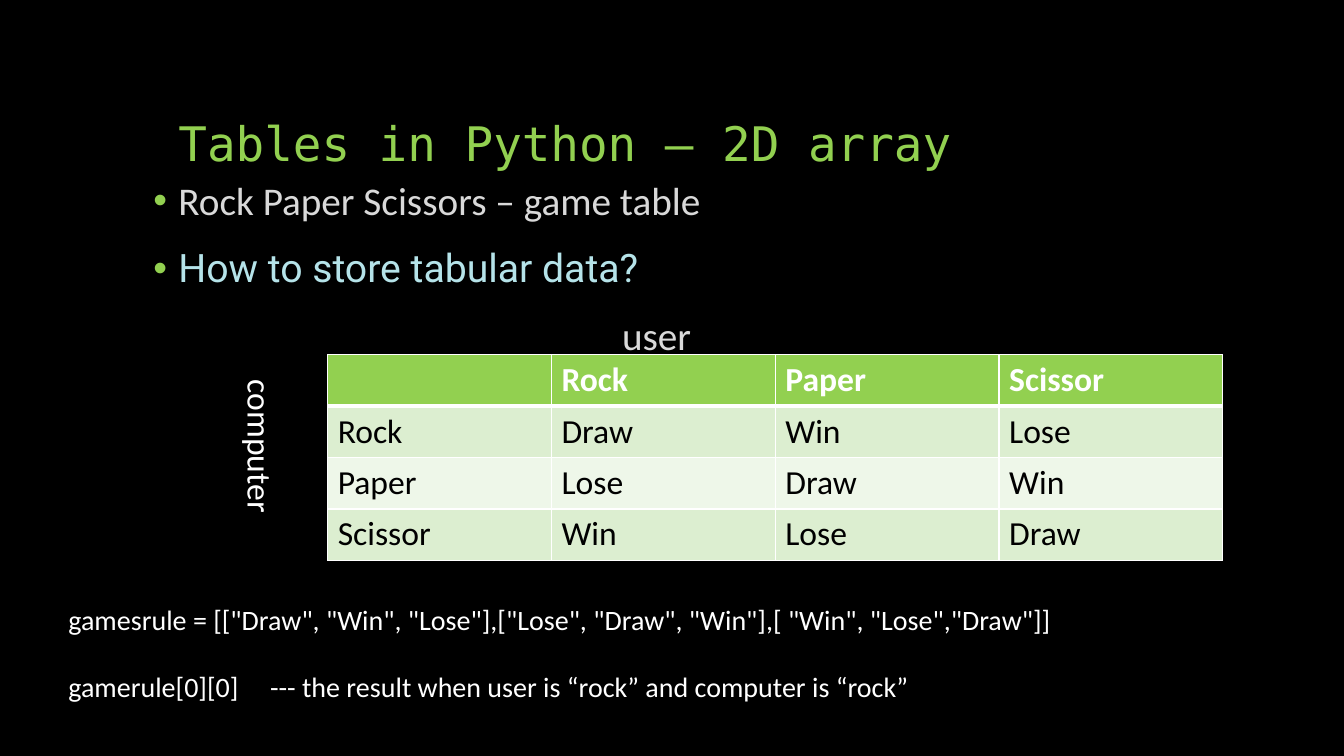
"""Build a slide on storing a rock-paper-scissors table as a 2D array."""
from lxml import etree
from pptx import Presentation
from pptx.dml.color import RGBColor
from pptx.enum.text import MSO_ANCHOR, MSO_AUTO_SIZE, PP_ALIGN
from pptx.oxml.ns import qn
from pptx.util import Inches, Pt

LEFT, BOTTOM, TOP = PP_ALIGN.LEFT, MSO_ANCHOR.BOTTOM, MSO_ANCHOR.TOP
NO_FIT = MSO_AUTO_SIZE.NONE
COLORS = {"page": "000000", "accent": "92D050", "text": "D9D9D9", "question": "B5E3E9",
          "white": "FFFFFF", "black": "000000", "odd": "DCEED0", "even": "EEF7E9"}
TITLE = "Tables in Python – 2D array"
BULLETS = [("Rock Paper Scissors – game table", "Calibri", "text"),
           ("How to store tabular data?", "Roboto", "question")]
COLUMN_LABEL, ROW_LABEL = "user", "computer"
GAME = [["", "Rock", "Paper", "Scissor"],
        ["Rock", "Draw", "Win", "Lose"],
        ["Paper", "Lose", "Draw", "Win"],
        ["Scissor", "Win", "Lose", "Draw"]]
CODE = ['gamesrule = [["Draw", "Win", "Lose"],["Lose", "Draw", "Win"],[ "Win", "Lose","Draw"]]',
        "gamerule[0][0]\t--- the result when user is “rock” and computer is “rock”"]
COLUMN_WIDTH, ROW_HEIGHT = 2.22, 0.51


def color(name):
    return RGBColor.from_string(COLORS[name])


def apply(target, formats):
    for name, value in formats.items():
        setattr(target, name, value)


def write(para, text, size, font, shade, bold=False):
    span = para.add_run()
    span.text = text
    apply(span.font, {"size": Pt(size), "name": font, "bold": bold})
    span.font.color.rgb = color(shade)


def place(box, left, top, width, height):
    apply(box, {"left": Inches(left), "top": Inches(top),
                "width": Inches(width), "height": Inches(height)})


def add_line(frame, index):
    return frame.paragraphs[0] if index == 0 else frame.add_paragraph()


def set_indent(para, margin, hanging, bullet):
    props = para._p.get_or_add_pPr()
    props.set("marL", str(Inches(margin)))
    props.set("indent", str(Inches(hanging)))
    if bullet:
        bullet_color = etree.SubElement(props, qn("a:buClr"))
        etree.SubElement(bullet_color, qn("a:srgbClr"), val=COLORS["accent"])
        etree.SubElement(props, qn("a:buFont"), typeface="Arial")
        etree.SubElement(props, qn("a:buChar"), char="•")
    else:
        etree.SubElement(props, qn("a:buNone"))


def set_borders(cell, widths):
    props = cell._tc.get_or_add_tcPr()
    for index, (side, width) in enumerate(widths.items()):
        line = etree.Element(qn(f"a:ln{side}"), w=str(Pt(width)))
        fill = etree.SubElement(line, qn("a:solidFill"))
        etree.SubElement(fill, qn("a:srgbClr"), val=COLORS["white"])
        props.insert(index, line)


def add_title(page):
    box = page.shapes.title
    place(box, 1.67, 0.5, 10, 1.25)
    apply(box.text_frame, {"vertical_anchor": BOTTOM, "word_wrap": True, "auto_size": NO_FIT})
    para = box.text_frame.paragraphs[0]
    apply(para, {"alignment": LEFT, "line_spacing": 0.9})
    write(para, TITLE, 34, "DejaVu Sans Mono", "accent")


def add_body(page):
    box = page.placeholders[1]
    place(box, 1.42, 1.75, 10.25, 4.92)
    frame = box.text_frame
    apply(frame, {"vertical_anchor": TOP, "word_wrap": True, "auto_size": NO_FIT})
    for index, (text, font, shade) in enumerate(BULLETS + [(COLUMN_LABEL, "Calibri", "text")]):
        para = add_line(frame, index)
        apply(para, {"alignment": LEFT, "line_spacing": 0.9, "space_before": Pt(18)})
        if index < len(BULLETS):
            set_indent(para, 0.25, -0.25, True)
        else:
            set_indent(para, 4.65, 0, False)
        write(para, text, 28, font, shade)


def add_game_table(page):
    rows, columns = len(GAME), len(GAME[0])
    table = page.shapes.add_table(rows, columns, Inches(3.25), Inches(3.52),
                                  Inches(COLUMN_WIDTH * columns),
                                  Inches(ROW_HEIGHT * rows)).table
    for column in table.columns:
        column.width = Inches(COLUMN_WIDTH)
    for row_index, values in enumerate(GAME):
        header = row_index == 0
        shade = "accent" if header else ("odd" if row_index % 2 else "even")
        table.rows[row_index].height = Inches(ROW_HEIGHT)
        for column_index, text in enumerate(values):
            cell = table.cell(row_index, column_index)
            cell.fill.solid()
            cell.fill.fore_color.rgb = color(shade)
            set_borders(cell, {"L": 1, "R": 1, "T": 3 if row_index == 1 else 1,
                               "B": 3 if header else 1})
            if text:
                write(cell.text_frame.paragraphs[0], text, 24, "Calibri",
                      "white" if header else "black", header)


def add_text_box(page, left, top, width, height):
    box = page.shapes.add_textbox(Inches(left), Inches(top), Inches(width), Inches(height))
    box.text_frame.word_wrap = True
    return box.text_frame


def add_row_label(page):
    frame = add_text_box(page, 2.23, 3.67, 0.61, 1.92)
    frame._txBody.bodyPr.set("vert", "eaVert")
    write(frame.paragraphs[0], ROW_LABEL, 24, "Calibri", "white")


def add_code(page):
    frame = add_text_box(page, 0.58, 5.93, 12.42, 1.11)
    for index, text in enumerate(CODE):
        para = add_line(frame, index)
        para.space_before = Pt(24 * index)
        tabs = etree.SubElement(para._p.get_or_add_pPr(), qn("a:tabLst"))
        etree.SubElement(tabs, qn("a:tab"), pos=str(Inches(2)), algn="l")
        write(para, text, 20, "Calibri", "white")


def main():
    deck = Presentation()
    apply(deck, {"slide_width": Inches(13.33), "slide_height": Inches(7.5)})
    page = deck.slides.add_slide(deck.slide_layouts[1])
    page.background.fill.solid()
    page.background.fill.fore_color.rgb = color("page")
    for add_part in (add_title, add_body, add_game_table, add_row_label, add_code):
        add_part(page)
    deck.save("out.pptx")


if __name__ == "__main__":
    main()
